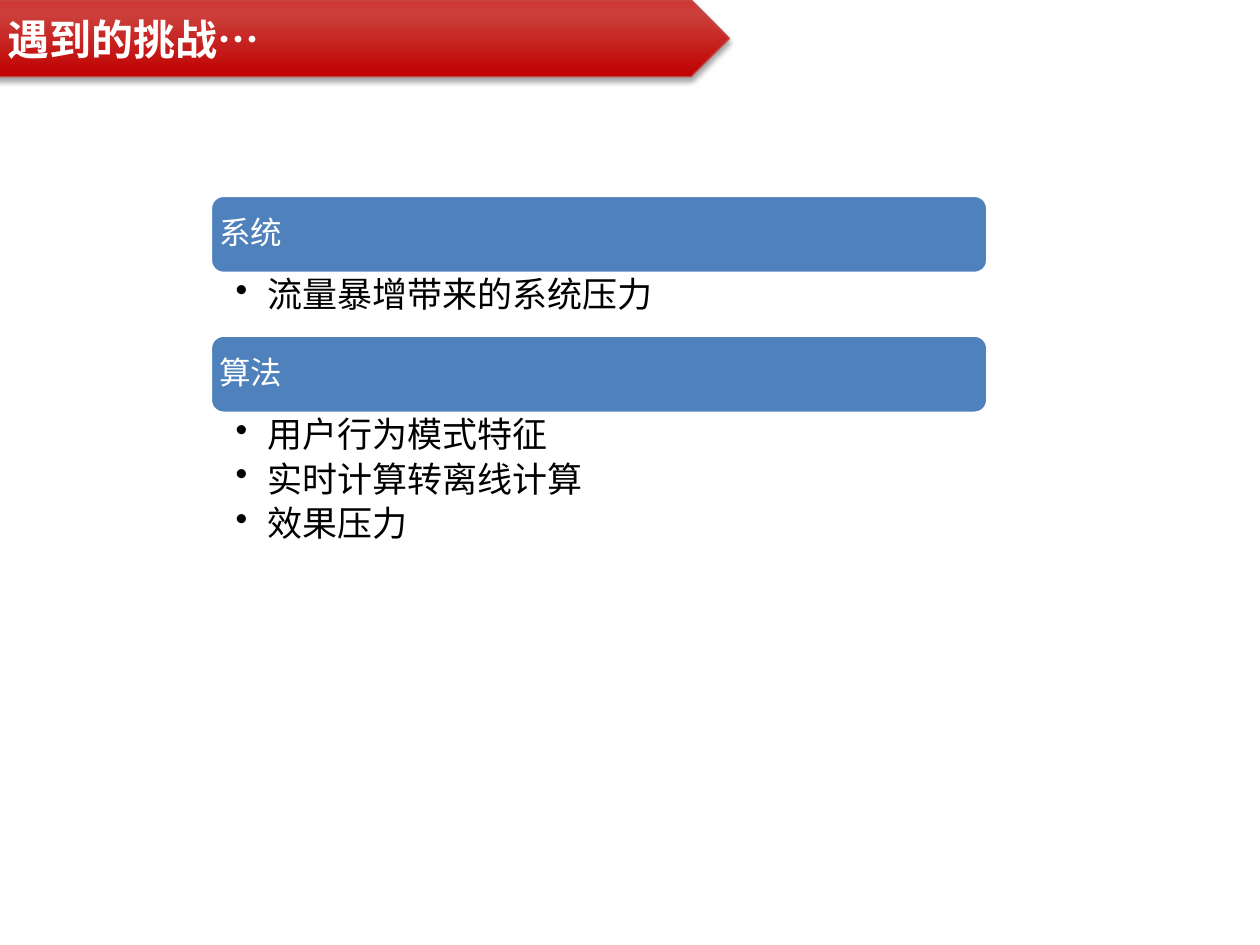
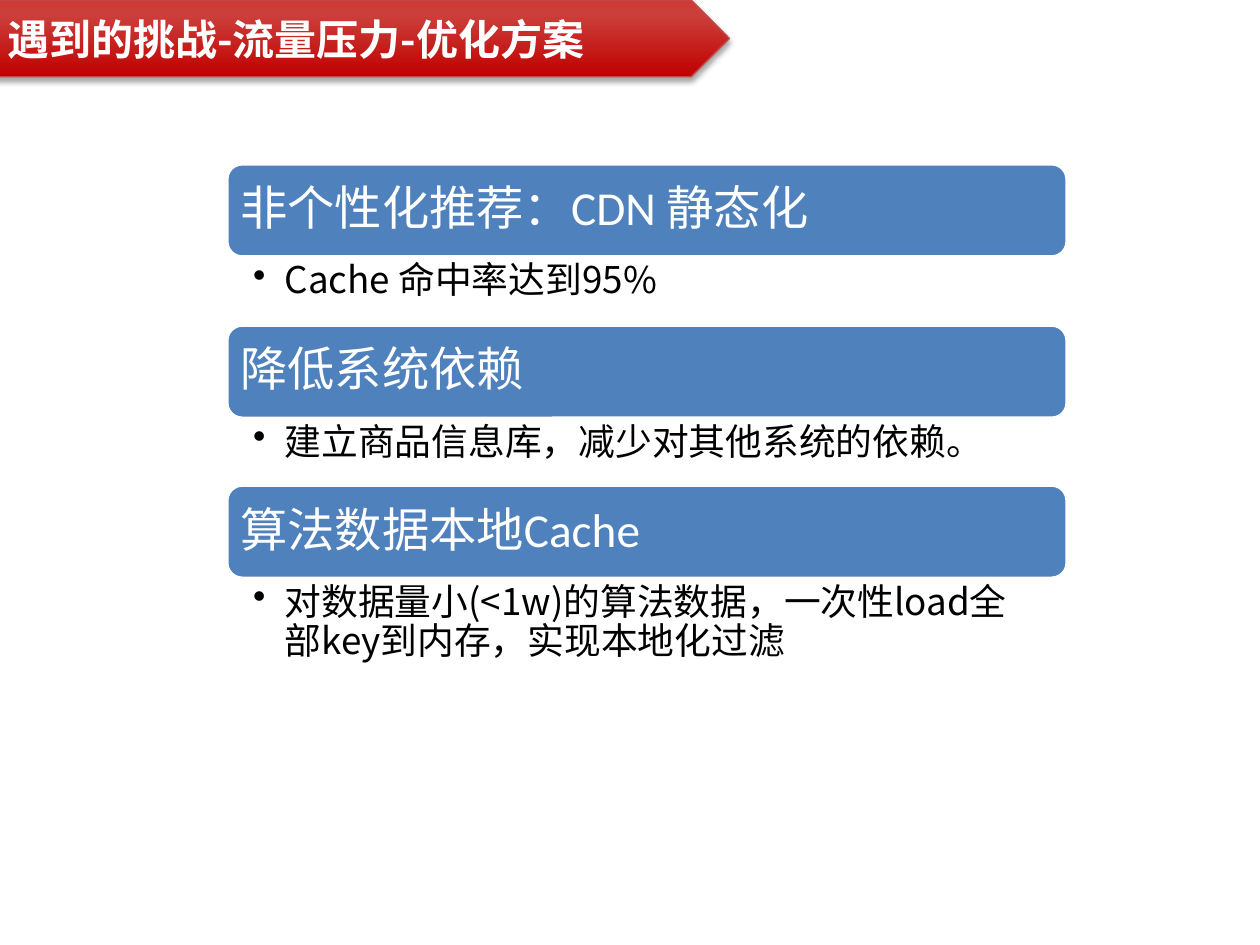
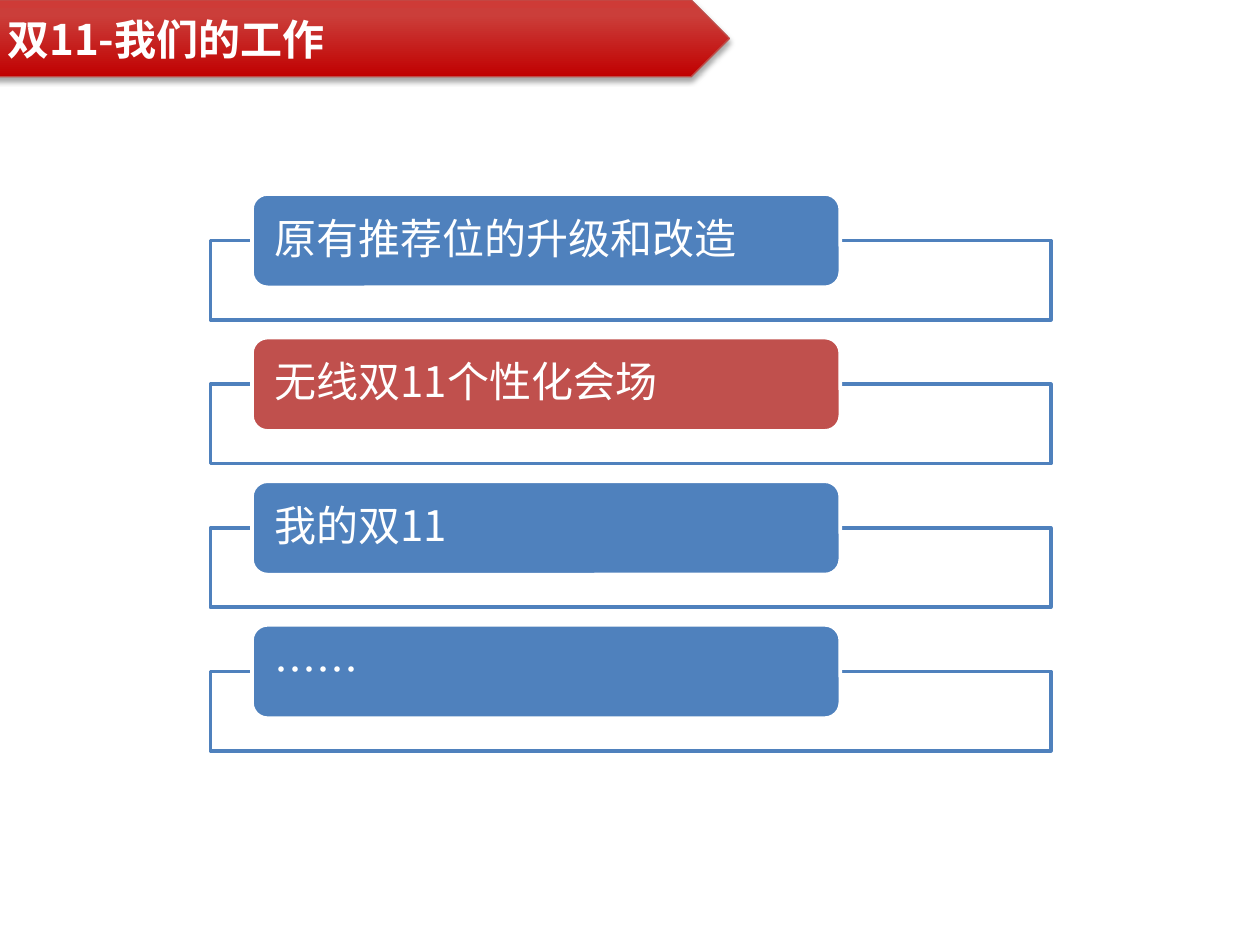
import lxml.etree
import pptx
import pptx.dml.color
import pptx.enum.shapes
import pptx.enum.text
import pptx.oxml
import pptx.oxml.ns
import pptx.util

Inches = pptx.util.Inches
Pt = pptx.util.Pt
RGBColor = pptx.dml.color.RGBColor
SHAPE = pptx.enum.shapes.MSO_SHAPE
ANCHOR = pptx.enum.text.MSO_ANCHOR
ALIGN = pptx.enum.text.PP_ALIGN
qn = pptx.oxml.ns.qn

WHITE = RGBColor(0xFF, 0xFF, 0xFF)
BLACK = RGBColor(0x00, 0x00, 0x00)
BLUE = RGBColor(0x4F, 0x81, 0xBD)
RED = RGBColor(0xC0, 0x50, 0x4D)
BANNER_LINE = RGBColor(0xBF, 0x4C, 0x48)
BANNER_STOPS = [
    (0, RGBColor(0xC0, 0x00, 0x00)),
    (80, RGBColor(0xCB, 0x3E, 0x3A)),
    (100, RGBColor(0xCE, 0x3B, 0x37)),
]

CJK_FONT = "Noto Sans CJK SC"
LATIN_FONT = "Calibri"
CORNER_INSET = 0.05  # share of a rounded bar's height taken by its corners


def add_box(slide, kind, left, top, width, height, fill, line, line_width):
    shape = slide.shapes.add_shape(
        kind, Inches(left), Inches(top), Inches(width), Inches(height))
    shape.shadow.inherit = False
    shape.fill.solid()
    shape.fill.fore_color.rgb = fill
    shape.line.color.rgb = line
    shape.line.width = Pt(line_width)
    return shape


def set_margins(text_frame, left, top, right, bottom):
    text_frame.margin_left = Inches(left)
    text_frame.margin_top = Inches(top)
    text_frame.margin_right = Inches(right)
    text_frame.margin_bottom = Inches(bottom)


def write_lines(text_frame, lines, size, color, font=CJK_FONT, bold=False,
                line_spacing=None, space_after=0):
    """Write one paragraph per line; space_after is a share of the size."""
    text_frame.word_wrap = True
    text_frame.text = "\n".join(lines)
    for paragraph in text_frame.paragraphs:
        paragraph.alignment = ALIGN.LEFT
        paragraph.line_spacing = line_spacing
        paragraph.space_after = Pt(size * space_after)
        for run in paragraph.runs:
            run.font.size = Pt(size)
            run.font.name = font
            run.font.bold = bold
            run.font.color.rgb = color
            east_asian = lxml.etree.SubElement(run.font._element, qn("a:ea"))
            east_asian.set("typeface", CJK_FONT)


def add_bullets(text_frame):
    for paragraph in text_frame.paragraphs:
        properties = paragraph._p.get_or_add_pPr()
        properties.set("marL", str(Inches(0.25)))
        properties.set("indent", str(-Inches(0.25)))
        bullet = lxml.etree.SubElement(properties, qn("a:buChar"))
        bullet.set("char", "•")


def add_title_banner(slide, title):
    banner = add_box(slide, SHAPE.PENTAGON, -0.04, 0, 5.83, 0.61,
                     BANNER_STOPS[0][1], BANNER_LINE, 0.75)
    # Gradient running from the bottom edge to the top
    banner.fill.gradient()
    banner.fill.gradient_angle = 90
    stop_list = banner._element.spPr.find(".//" + qn("a:gsLst"))
    for stop in list(stop_list):
        stop_list.remove(stop)
    for position, color in BANNER_STOPS:
        stop = lxml.etree.SubElement(stop_list, qn("a:gs"), pos=str(position * 1000))
        lxml.etree.SubElement(stop, qn("a:srgbClr"), val=str(color))
    # Soft shadow below
    effects = banner._element.spPr.find(qn("a:effectLst"))
    shadow = lxml.etree.SubElement(
        effects, qn("a:outerShdw"), blurRad=str(Pt(3.1)), dist=str(Pt(1.8)),
        dir=str(90 * 60000), rotWithShape="0")
    shadow_color = lxml.etree.SubElement(shadow, qn("a:srgbClr"), val=str(BLACK))
    lxml.etree.SubElement(shadow_color, qn("a:alpha"), val="35000")
    banner.text_frame.vertical_anchor = ANCHOR.MIDDLE
    write_lines(banner.text_frame, [title], 24, WHITE, bold=True)


def add_bar(slide, left, top, width, height, text, size, margin,
            fill=BLUE, font=CJK_FONT):
    bar = add_box(slide, SHAPE.ROUNDED_RECTANGLE, left, top, width, height,
                  fill, WHITE, 2)
    side = margin - CORNER_INSET * height
    set_margins(bar.text_frame, side, 0, side, 0)
    bar.text_frame.vertical_anchor = ANCHOR.MIDDLE
    write_lines(bar.text_frame, [text], size, WHITE, font,
                line_spacing=0.9, space_after=0.35)


def add_section_list(slide, left, top, width, bar_height, sections, bar_size,
                     bar_margin, bar_font, body_size, body_margins):
    """Stack bars with bulleted text; a section is (heading, height, points)."""
    for heading, body_height, points in sections:
        add_bar(slide, left, top, width, bar_height, heading, bar_size,
                bar_margin, font=bar_font)
        top += bar_height
        body = slide.shapes.add_textbox(
            Inches(left), Inches(top), Inches(width), Inches(body_height))
        set_margins(body.text_frame, *body_margins)
        write_lines(body.text_frame, points, body_size, BLACK,
                    line_spacing=0.9, space_after=0.2)
        add_bullets(body.text_frame)
        top += body_height


def add_framed_list(slide, left, top, width, pitch, items):
    """Stack bars that each overlap the top edge of an outlined frame."""
    for index, (text, fill) in enumerate(items):
        row_top = top + index * pitch
        frame = add_box(slide, SHAPE.RECTANGLE, left, row_top + 0.37, width, 0.63,
                        WHITE, BLUE, 2)
        frame_color = frame._element.spPr.find(qn("a:solidFill"))[0]
        lxml.etree.SubElement(frame_color, qn("a:alpha"), val="90000")
        add_bar(slide, left + 0.33, row_top, width * 0.7, 0.74, text, 24, 0.18, fill)


def add_slide(presentation, title):
    slide = presentation.slides.add_slide(presentation.slide_layouts[6])
    add_title_banner(slide, title)
    return slide


def build_challenges(presentation):
    slide = add_slide(presentation, "遇到的挑战…")
    sections = [
        ("系统", 0.49, ["流量暴增带来的系统压力"]),
        ("算法", 1.55, ["用户行为模式特征", "实时计算转离线计算", "效果压力"]),
    ]
    add_section_list(slide, 1.67, 1.55, 6.17, 0.62, sections, 18, 0.07, CJK_FONT,
                     20, (0.2, 0.03, 0.16, 0.03))


def build_traffic_solutions(presentation):
    slide = add_slide(presentation, "遇到的挑战-流量压力-优化方案")
    sections = [
        ("非个性化推荐：CDN 静态化", 0.54, ["Cache 命中率达到95%"]),
        ("降低系统依赖", 0.53, ["建立商品信息库，减少对其他系统的依赖。"]),
        ("算法数据本地Cache", 1.01,
         ["对数据量小(<1w)的算法数据，一次性load全部key到内存，实现本地化过滤"]),
    ]
    add_section_list(slide, 1.8, 1.3, 6.67, 0.74, sections, 27, 0.11, LATIN_FONT,
                     21, (0.21, 0.04, 0.21, 0.04))


def build_our_work(presentation):
    slide = add_slide(presentation, "双11-我们的工作")
    items = [
        ("原有推荐位的升级和改造", BLUE),
        ("无线双11个性化会场", RED),
        ("我的双11", BLUE),
        ("……", BLUE),
    ]
    add_framed_list(slide, 1.67, 1.54, 6.67, 1.14, items)


def main():
    presentation = pptx.Presentation()
    presentation.slide_width = Inches(10)
    presentation.slide_height = Inches(7.5)
    build_challenges(presentation)
    build_traffic_solutions(presentation)
    build_our_work(presentation)
    presentation.save("out.pptx")


if __name__ == "__main__":
    main()
